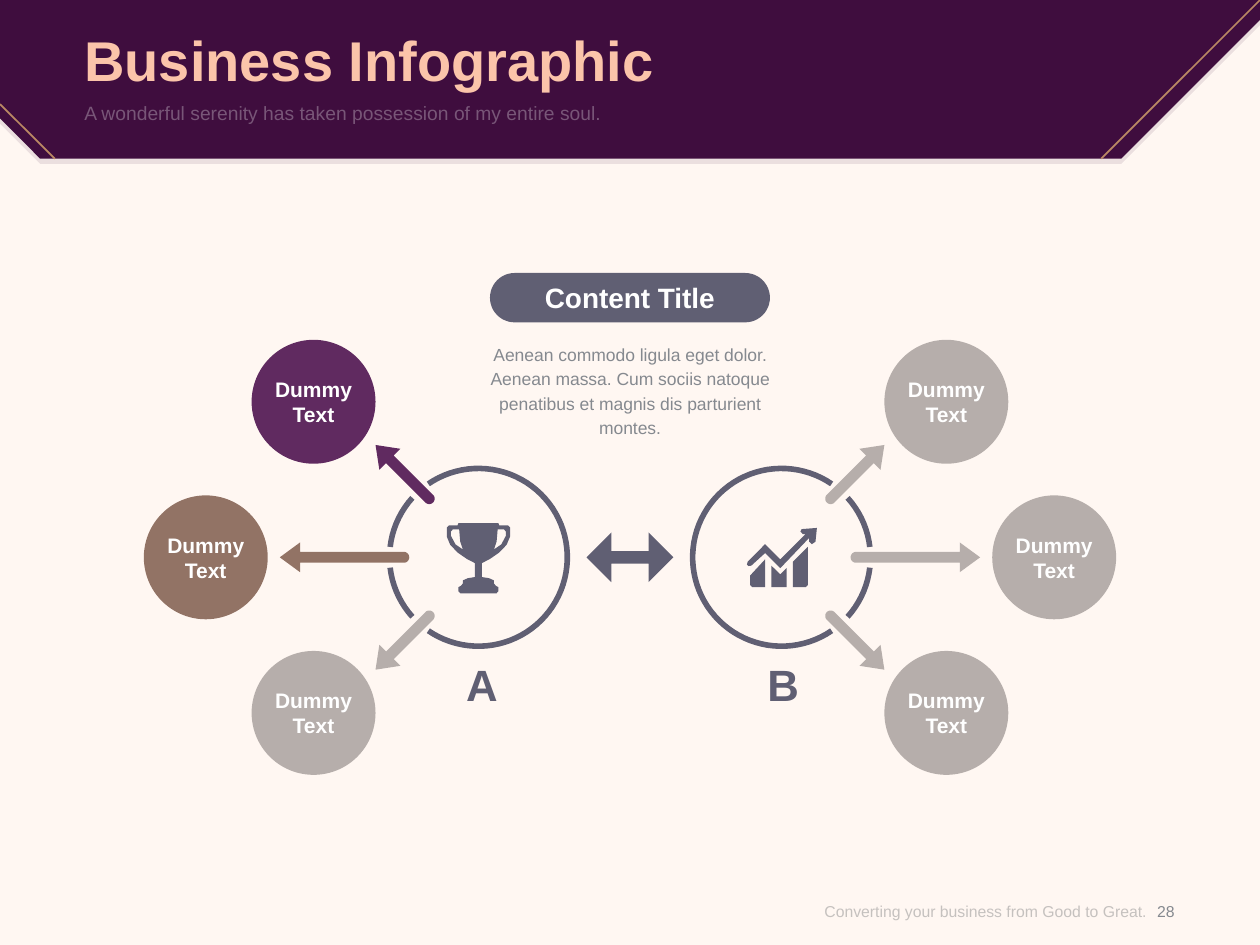
"""Build a business infographic with two hubs, their spokes and a banner."""
import math
from dataclasses import dataclass

from lxml import etree
from pptx import Presentation
from pptx import util as u
from pptx.dml import color
from pptx.enum import shapes, text
from pptx.oxml import ns

Point = tuple[float, float]
Box = tuple[float, float, float, float]

WIDTH, HEIGHT = 720, 540
MIDDLE_Y = 318.5
HUB_X = 273.4
HUB_OUTER, HUB_INNER = 52.4, 49.2
NODE_SIZE = 70.8
CREAM, AUBERGINE, PEACH, GOLD = "FFF7F2", "3F0D3E", "FBC4AA", "B98763"
SLATE, PLUM, BROWN, STONE = "605F73", "602A60", "927365", "B6AEAB"
WHITE, GREY, FOOTER_GREY = "FFFFFF", "85898F", "8C8C8C"

BANNER = [(0, 0), (720, 0), (720, 11.5), (640.8, 90.7), (23, 90.7), (0, 67.7)]
RING_ARCS = [(6.7, 42), (55.7, 304.3), (318, 353.3)]
TROPHY_HALF = [
    (11.4, -19.6), (11.9, -18.3), (16.8, -18.3), (18.1, -17), (18.1, -11.9),
    (16.1, -7.1), (11.7, -2.6), (6.5, 1), (2, 3.3), (2, 11.3), (6, 11.9),
    (8.9, 13.2), (8.9, 15), (10, 16.3), (11.4, 17), (11.4, 19.4), (10.3, 20.6),
]
TROPHY_HANDLE = [
    (15.7, -12.3), (15.7, -14.7), (14.6, -16), (11, -16),
    (10.4, -9), (8.9, -4.5), (13.1, -7.4),
]
GROWTH_CHART = [
    [(-18, 10.5), (-9.4, 1.2), (-9.4, 17), (-16.8, 17), (-18, 15.8)],
    [(-5.8, 4.8), (-0.7, 9.8), (2.9, 6.2), (2.9, 17), (-5.8, 17)],
    [(6.5, 2.6), (15.1, -6), (15.1, 15.8), (13.9, 17), (6.5, 17)],
    [(11.5, -16.1), (10.8, -14.7), (12.2, -13.2), (13.7, -13.2), (-0.7, 1.2),
     (-9.4, -7.5), (-19.4, 2.6), (-19.8, 4.2), (-18.9, 5), (-17.3, 4.8),
     (-9.4, -2.4), (-0.7, 6.2), (15.8, -11.1), (15.8, -8.9), (17.3, -7.5),
     (19.4, -8.9), (20.2, -16.8)],
]


@dataclass
class Spoke:
    """A node and its arrow, placed for the left hub."""
    node: Point
    tip: Point
    angle: float
    length: float
    left_colour: str
    right_colour: str = STONE


@dataclass
class Label:
    """A styled piece of text."""
    words: str
    size: float
    colour: str
    bold: bool = False
    align: text.PP_ALIGN = text.PP_ALIGN.CENTER
    anchor: text.MSO_ANCHOR = text.MSO_ANCHOR.MIDDLE
    opacity: int = 100
    line_spacing: float | None = None


SPOKES = [
    Spoke((179.2, MIDDLE_Y - 88.9), (214.6, MIDDLE_Y - 64.2), 45, 46.5, PLUM),
    Spoke((117.6, MIDDLE_Y), (159.9, MIDDLE_Y), 0, 74, BROWN),
    Spoke((179.2, MIDDLE_Y + 88.9), (214.6, MIDDLE_Y + 64.2), -45, 46.5, STONE),
]


def paint(fill, colour: str, element, opacity: int = 100) -> None:
    """Fill with a hex colour, made see-through on request."""
    fill.solid()
    fill.fore_color.rgb = color.RGBColor.from_string(colour)
    if opacity < 100:
        for node in element.iter(ns.qn("a:srgbClr")):
            etree.SubElement(node, ns.qn("a:alpha"), val=str(opacity * 1000))


def finish(shape, colour: str, opacity: int = 100):
    """Give a shape a flat fill with no line or shadow."""
    shape.shadow.inherit = False
    shape.line.fill.background()
    paint(shape.fill, colour, shape._element, opacity)
    return shape


def write(shape, label: Label) -> None:
    """Write a label into a shape without margins."""
    frame = shape.text_frame
    frame.word_wrap = True
    frame.auto_size = text.MSO_AUTO_SIZE.NONE
    frame.vertical_anchor = label.anchor
    frame.margin_left = frame.margin_right = frame.margin_top = frame.margin_bottom = 0
    paragraph = frame.paragraphs[0]
    paragraph.alignment = label.align
    if label.line_spacing:
        paragraph.line_spacing = u.Pt(label.line_spacing)
    run = paragraph.add_run()
    run.text = label.words
    run.font.name, run.font.size, run.font.bold = "Arial", u.Pt(label.size), label.bold
    paint(run.font.fill, label.colour, run._r, label.opacity)


def add_text(slide, box: Box, label: Label) -> None:
    """Add a text box with one label."""
    write(slide.shapes.add_textbox(*map(u.Pt, box)), label)


def add_preset(slide, kind, box: Box, colour: str):
    """Add a flat preset shape."""
    return finish(slide.shapes.add_shape(kind, *map(u.Pt, box)), colour)


def add_outline(slide, contours: list[list[Point]], colour: str, opacity: int = 100) -> None:
    """Add one freeform made of closed contours."""
    contours = [[(u.Pt(x), u.Pt(y)) for x, y in contour] for contour in contours]
    builder = slide.shapes.build_freeform(*contours[0][0])
    for index, contour in enumerate(contours):
        if index:
            builder.move_to(*contour[0])
        builder.add_line_segments(contour[1:], close=True)
    finish(builder.convert_to_shape(), colour, opacity)


def add_line(slide, start: Point, end: Point) -> None:
    """Add a thin gold line."""
    line = slide.shapes.add_connector(
        shapes.MSO_CONNECTOR.STRAIGHT, *map(u.Pt, start + end))
    line.line.width = u.Pt(1)
    paint(line.line.fill, GOLD, line._element)
    etree.SubElement(line._element.spPr, ns.qn("a:effectLst"))


def mirror(points: list[Point], axis: float = WIDTH / 2) -> list[Point]:
    """Reflect points across a vertical axis."""
    return [(2 * axis - x, y) for x, y in points]


def shift(points: list[Point], x: float, y: float) -> list[Point]:
    """Move points by an offset."""
    return [(x + px, y + py) for px, py in points]


def arc(radius: float, start: float, end: float) -> list[Point]:
    """Sample an arc whose zero angle points left."""
    steps = math.ceil(abs(end - start) / 4)
    angles = [math.radians(start + (end - start) * i / steps) for i in range(steps + 1)]
    return [(-radius * math.cos(a), -radius * math.sin(a)) for a in angles]


def arrow(spoke: Spoke) -> list[Point]:
    """Outline an arrow with a round tail, from its tip inward."""
    half, head, wing = 3.1, 11.6, 8.5
    tail = shift(mirror(arc(half, -90, 90), 0), spoke.length - half, 0)
    outline = [(0, 0), (head, wing), (head, half), *tail, (head, -half), (head, -wing)]
    cos, sin = math.cos(math.radians(spoke.angle)), math.sin(math.radians(spoke.angle))
    return shift([(x * cos - y * sin, x * sin + y * cos) for x, y in outline], *spoke.tip)


def add_spoke(slide, spoke: Spoke, on_right: bool) -> None:
    """Add an arrow and its node on one side."""
    outline, node = arrow(spoke), [spoke.node]
    if on_right:
        outline, node = mirror(outline), mirror(node)
    colour = spoke.right_colour if on_right else spoke.left_colour
    add_outline(slide, [outline], colour)
    corner = shift(node, -NODE_SIZE / 2, -NODE_SIZE / 2)[0]
    circle = add_preset(slide, shapes.MSO_SHAPE.OVAL, (*corner, NODE_SIZE, NODE_SIZE), colour)
    write(circle, Label("Dummy Text", 12, WHITE, bold=True))


def main() -> None:
    """Compose and save the slide."""
    deck = Presentation()
    deck.slide_width, deck.slide_height = u.Pt(WIDTH), u.Pt(HEIGHT)
    slide = deck.slides.add_slide(deck.slide_layouts[5])
    paint(slide.background.fill, CREAM, slide._element)

    add_outline(slide, [shift(BANNER, 0, 2.9)], AUBERGINE, 10)
    add_outline(slide, [BANNER], AUBERGINE)
    add_line(slide, (720, 0), (629.3, 90.7))
    add_line(slide, (31.4, 90.7), (0, 59.5))
    left, top = text.PP_ALIGN.LEFT, text.MSO_ANCHOR.TOP
    title = slide.shapes.title
    title.left, title.top, title.width, title.height = map(u.Pt, (48.2, 10.1, 623.5, 46.8))
    write(title, Label("Business Infographic", 32, PEACH, bold=True, align=left))
    slide.shapes._spTree.append(title._element)
    add_text(slide, (48.2, 57.6, 623.5, 28.1), Label(
        "A wonderful serenity has taken possession of my entire soul.",
        11, WHITE, align=left, anchor=top, opacity=30))

    ring = [shift(arc(HUB_OUTER, a, b) + arc(HUB_INNER, b, a), HUB_X, MIDDLE_Y)
            for a, b in RING_ARCS]
    add_outline(slide, ring, SLATE)
    add_outline(slide, [mirror(part) for part in ring], SLATE)
    trophy = [TROPHY_HALF + mirror(TROPHY_HALF, 0)[::-1], TROPHY_HANDLE, mirror(TROPHY_HANDLE, 0)]
    for icon, x in ((trophy, HUB_X), (GROWTH_CHART, WIDTH - HUB_X)):
        add_outline(slide, [shift(part, x, MIDDLE_Y) for part in icon], SLATE)
    exchange = add_preset(slide, shapes.MSO_SHAPE.LEFT_RIGHT_ARROW,
                          (335.2, MIDDLE_Y - 14.2, 49.6, 28.4), SLATE)
    exchange.adjustments[0], exchange.adjustments[1] = 0.25, 0.5
    for on_right in (False, True):
        for spoke in SPOKES:
            add_spoke(slide, spoke, on_right)

    pill = add_preset(slide, shapes.MSO_SHAPE.ROUNDED_RECTANGLE, (280, 156, 160, 28.2), SLATE)
    pill.adjustments[0] = 0.5
    write(pill, Label("Content Title", 16, WHITE, bold=True))
    add_text(slide, (272.2, 194.4, 175.6, 56.9), Label(
        "Aenean commodo ligula eget dolor. Aenean massa. Cum sociis natoque "
        "penatibus et magnis dis parturient montes.",
        10, GREY, anchor=top, line_spacing=14))
    for letter, x in (("A", 244.8), ("B", 416.9)):
        add_text(slide, (x, 375.8, 61.2, 30.2), Label(letter, 25, SLATE, bold=True))
    add_text(slide, (434.9, 501.1, 220.3, 38.9), Label(
        "Converting your business from Good to Great.",
        9, FOOTER_GREY, align=text.PP_ALIGN.RIGHT, opacity=50))
    add_text(slide, (649.4, 501.1, 33.8, 38.9), Label("28", 9, GREY))
    deck.save("out.pptx")


if __name__ == "__main__":
    main()
